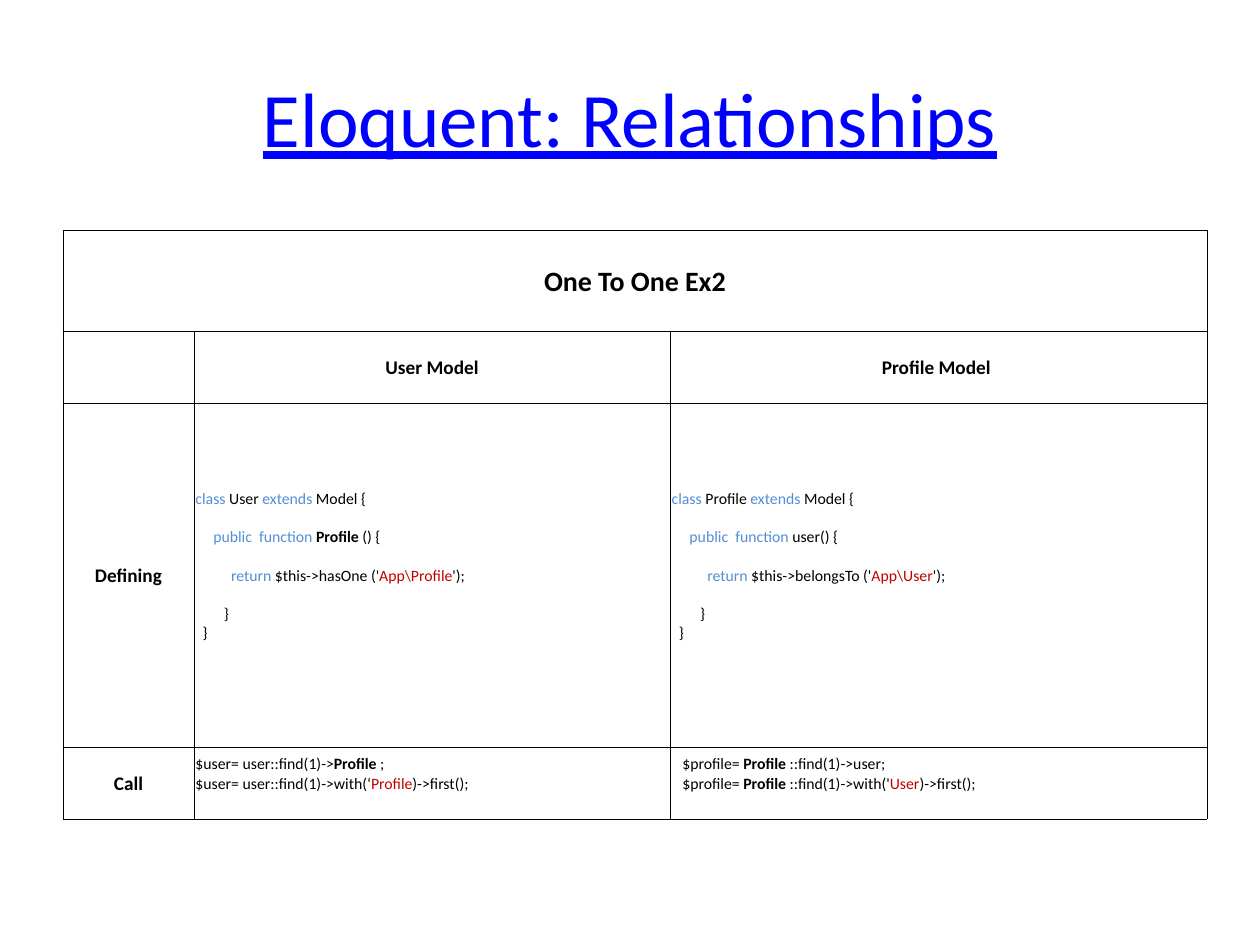
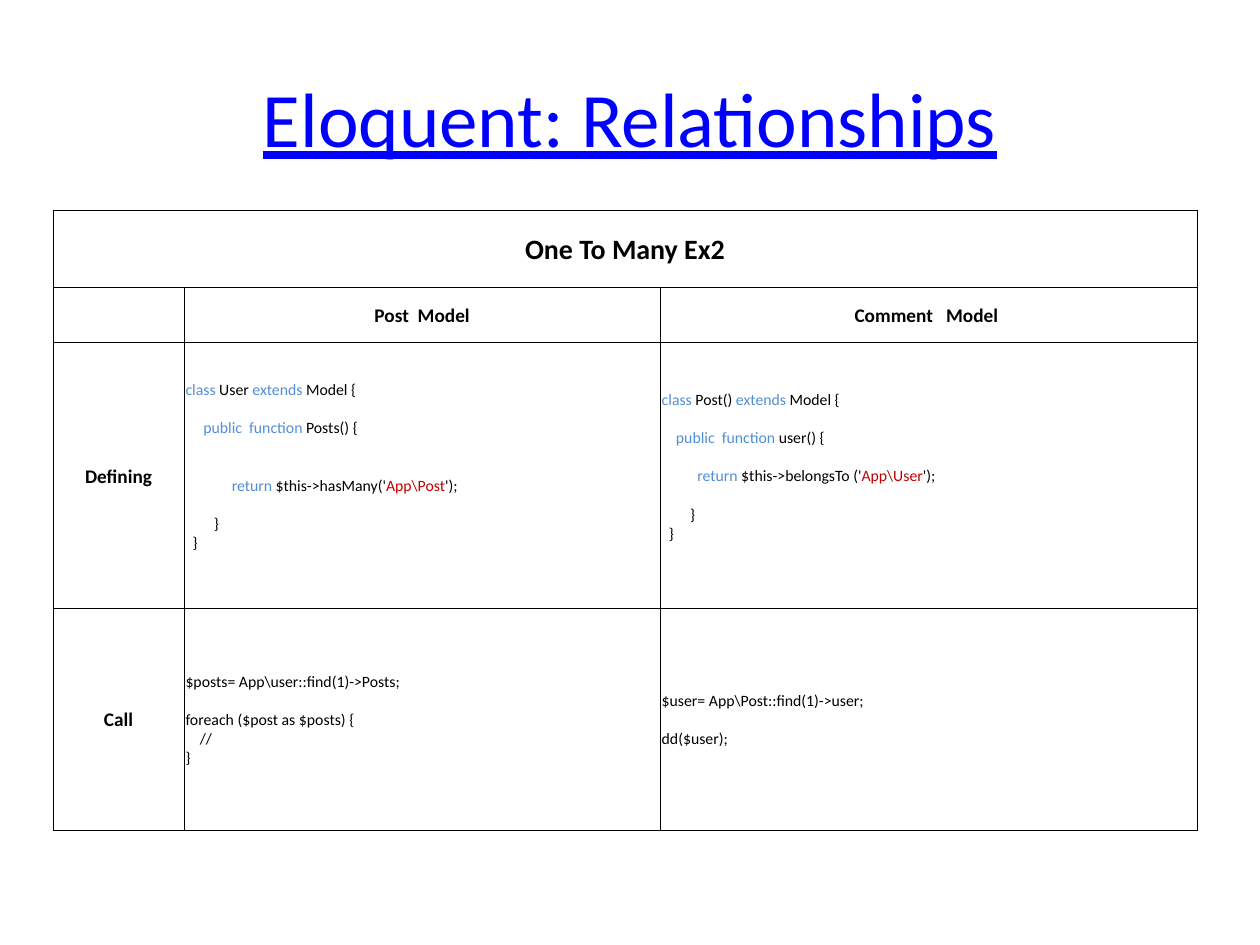
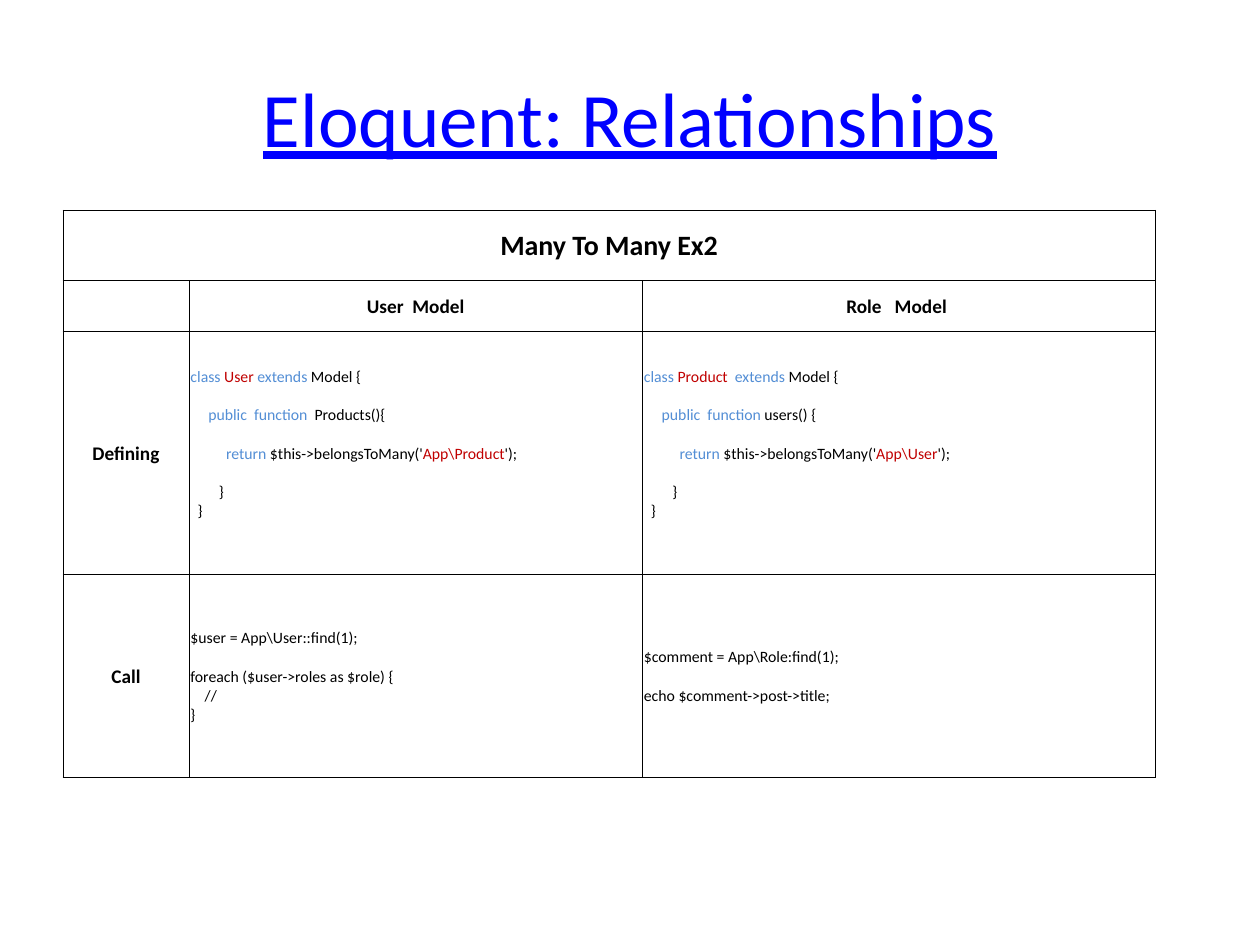
from dataclasses import dataclass

from lxml import etree
from pptx import Presentation
from pptx.dml.color import RGBColor
from pptx.enum.text import MSO_ANCHOR, PP_ALIGN
from pptx.oxml.ns import qn
from pptx.util import Cm, Pt

CENTER, LEFT = PP_ALIGN.CENTER, PP_ALIGN.LEFT
MIDDLE = MSO_ANCHOR.MIDDLE
TITLE_ONLY = 5


@dataclass(frozen=True)
class Theme:
    font: str = "Calibri"
    link: str = "0000FF"
    ink: str = "000000"
    keyword: str = "538ED5"
    string: str = "C00000"
    title_size: int = 44
    heading_size: int = 16
    label_size: int = 11
    code_size: int = 9
    code_line: int = 11
    border: float = 0.5


THEME = Theme()
MARKS = {
    "k": {"color": THEME.keyword},
    "s": {"color": THEME.string},
    "b": {"bold": True},
}

TITLE = "Eloquent: Relationships"
TITLE_BOX = (1.27, 0.76, 22.86, 3.18)
WIDE_COLUMNS = (2.64, 9.6, 10.82)
NARROW_COLUMNS = (2.54, 9.14, 10.34)
CLASS_END = ["", "        } ", "  }", ""]

# Code lines: |k keyword|, |s string|, |b bold|; an empty line is a gap.
RELATIONSHIPS = [
    {
        "heading": "One To One Ex2",
        "origin": (1.27, 4.65),
        "columns": WIDE_COLUMNS,
        "rows": (2.03, 1.45, 6.93, 1.45),
        "models": ("User Model", "Profile Model "),
        "defining": (
            ["|k class| User |k extends| Model {", "",
             "     |k public  function ||b Profile |() {", "",
             "          |k return| $this->hasOne ('|s App\\Profile|');", *CLASS_END],
            ["|k class| Profile |k extends| Model {", "",
             "     |k public  function |user() {", "",
             "          |k return| $this->belongsTo ('|s App\\User|');", *CLASS_END],
        ),
        "call": (
            ["$user= user::find(1)->|b Profile |;",
             "$user= user::find(1)->with(‘|s Profile|)->first();", ""],
            ["   $profile= |b Profile |::find(1)->user;",
             "   $profile= |b Profile |::find(1)->with('|s User|)->first();", ""],
        ),
    },
    {
        "heading": "One To Many Ex2",
        "origin": (1.07, 4.24),
        "columns": WIDE_COLUMNS,
        "rows": (1.55, 1.12, 5.36, 4.47),
        "models": ("Post  Model", "Comment   Model "),
        "defining": (
            ["|k class| User |k extends| Model {", "",
             "     |k public  function |Posts() {", "", "",
             "             |k return| $this->hasMany('|s App\\Post|');", *CLASS_END],
            ["|k class| Post() |k extends| Model {", "",
             "    |k public  function |user() {", "",
             "          |k return| $this->belongsTo ('|s App\\User|');", *CLASS_END],
        ),
        "call": (
            ["$posts= App\\user::find(1)->Posts;", "",
             "foreach ($post as $posts) {", "    //", "}"],
            ["$user= App\\Post::find(1)->user;", "", "dd($user);"],
        ),
    },
    {
        "heading": "Many To Many Ex2",
        "origin": (1.27, 4.24),
        "columns": NARROW_COLUMNS,
        "rows": (1.42, 1.02, 4.9, 4.09),
        "models": ("User  Model", "Role   Model "),
        "defining": (
            ["|k class ||s User ||k extends |Model {", "",
             "     |k public  function  |Products(){", "",
             "          |k return| $this->belongsToMany('|s App\\Product|');", *CLASS_END],
            ["|k class ||s Product  ||k extends| Model {", "",
             "     |k public  function |users() {", "",
             "          |k return| $this->belongsToMany('|s App\\User|');", *CLASS_END],
        ),
        "call": (
            ["$user = App\\User::find(1);", "",
             "foreach ($user->roles as $role) {", "    //", "}"],
            ["$comment = App\\Role:find(1);", "", "echo $comment->post->title;"],
        ),
    },
]


def set_all(target, values):
    for name, value in values.items():
        setattr(target, name, value)


def format_font(font, size, color=THEME.ink, **values):
    set_all(font, {"name": THEME.font, "size": Pt(size), **values})
    font.color.rgb = RGBColor.from_string(color)


def add_span(para, text, size, **values):
    span = para.add_run()
    span.text = text
    format_font(span.font, size, **values)


def add_title(page):
    box = page.shapes.title
    set_all(box, dict(zip(("left", "top", "width", "height"), map(Cm, TITLE_BOX))))
    box.text_frame.vertical_anchor = MIDDLE
    para = box.text_frame.paragraphs[0]
    para.alignment = CENTER
    add_span(para, TITLE, THEME.title_size, color=THEME.link, underline=True)


def style_cell(cell):
    set_all(cell, {"vertical_anchor": MIDDLE, "margin_left": Cm(0.03),
                   "margin_right": Cm(0.03), "margin_top": Cm(0.03), "margin_bottom": 0})
    properties = cell._tc.get_or_add_tcPr()
    for side in ("a:lnL", "a:lnR", "a:lnT", "a:lnB"):
        line = etree.SubElement(properties, qn(side), w=str(Pt(THEME.border)))
        fill = etree.SubElement(line, qn("a:solidFill"))
        etree.SubElement(fill, qn("a:srgbClr"), val=THEME.ink)
    cell.fill.background()
    format_font(cell.text_frame.paragraphs[0].font, THEME.code_size)


def write_label(cell, text, size=THEME.label_size):
    para = cell.text_frame.paragraphs[0]
    para.alignment = CENTER
    add_span(para, text, size, bold=True)


def write_code(cell, lines):
    frame = cell.text_frame
    para, gap = None, 0
    for line in lines:
        if not line:
            gap += THEME.code_line
            continue
        para = frame.add_paragraph() if para else frame.paragraphs[0]
        set_all(para, {"alignment": LEFT, "space_before": Pt(gap)})
        gap = 0
        for index, part in enumerate(line.split("|")):
            marked = index % 2
            text = part[2:] if marked else part
            if text:
                style = MARKS[part[0]] if marked else {}
                add_span(para, text, THEME.code_size, **{"bold": False, **style})
    cell.margin_bottom = Pt(gap)


def add_relationship_table(page, relation):
    columns, rows = relation["columns"], relation["rows"]
    left, top = relation["origin"]
    table = page.shapes.add_table(len(rows), len(columns), Cm(left), Cm(top),
                                  Cm(sum(columns)), Cm(sum(rows))).table
    set_all(table, {"first_row": False, "horz_banding": False})
    for column, width in zip(table.columns, columns):
        column.width = Cm(width)
    for row, height in zip(table.rows, rows):
        row.height = Cm(height)
    for cell in table.iter_cells():
        style_cell(cell)

    table.cell(0, 0).merge(table.cell(0, len(columns) - 1))
    write_label(table.cell(0, 0), relation["heading"], THEME.heading_size)
    for column, model in enumerate(relation["models"], 1):
        write_label(table.cell(1, column), model)
    for row, label in enumerate(("Defining", "Call"), 2):
        write_label(table.cell(row, 0), label)
        for column, lines in enumerate(relation[label.lower()], 1):
            write_code(table.cell(row, column), lines)


def main():
    deck = Presentation()
    set_all(deck, {"slide_width": Cm(25.4), "slide_height": Cm(19.05)})
    for relation in RELATIONSHIPS:
        page = deck.slides.add_slide(deck.slide_layouts[TITLE_ONLY])
        add_title(page)
        add_relationship_table(page, relation)
    deck.save("out.pptx")


if __name__ == "__main__":
    main()
